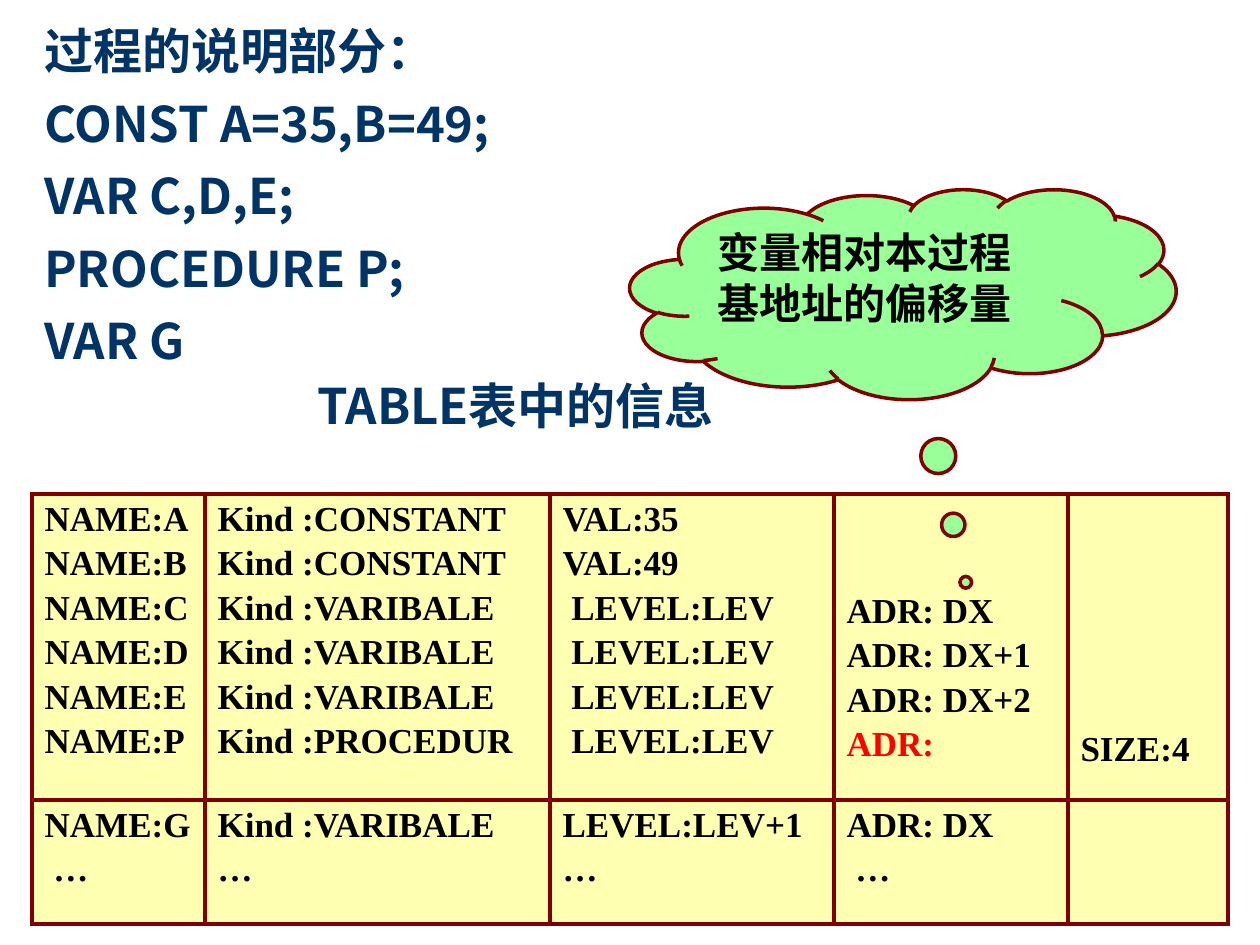
from lxml import etree
from pptx import Presentation
from pptx import util as u
from pptx.dml.color import RGBColor
from pptx.enum import shapes, text
from pptx.oxml import ns

NAVY = RGBColor(0x00, 0x33, 0x66)
MAROON = RGBColor(0x80, 0x00, 0x00)
YELLOW = RGBColor(0xFF, 0xFF, 0x66)
GREEN = RGBColor(0x99, 0xFF, 0x99)
BLACK = RGBColor(0x00, 0x00, 0x00)
RED = RGBColor(0xFF, 0x00, 0x00)

HEADING_FONT = "Noto Sans CJK SC"
TABLE_FONT = "Times New Roman"
CLOUD_FONT = "Karla"

DECLARATIONS = ["过程的说明部分：", "CONST A=35,B=49;", "VAR C,D,E;", "PROCEDURE P;", "VAR G"]
COLUMN_WIDTHS = [173, 345, 284, 234, 160]
ROW_HEIGHTS = [306, 124]
LINE_PITCH = 46
ENTRIES = [
    [
        ["NAME:" + name for name in "ABCDEP"],
        ["Kind :CONSTANT"] * 2 + ["Kind :VARIBALE"] * 3 + ["Kind :PROCEDUR"],
        ["VAL:35", "VAL:49"] + [" LEVEL:LEV"] * 4,
        ["ADR: DX", "ADR: DX+1", "ADR: DX+2", "ADR:"],
        ["SIZE:4"],
    ],
    [
        ["NAME:G", " …"],
        ["Kind :VARIBALE", "…"],
        ["LEVEL:LEV+1", "…"],
        ["ADR: DX", " …"],
        [],
    ],
]


def px(length):
    return u.Emu(round(length * 914400 / 126))


def write_lines(frame, lines, font, size, color, space=0, spacing=None):
    frame.text = "\n".join(lines)
    for index, para in enumerate(frame.paragraphs):
        para.alignment = text.PP_ALIGN.LEFT
        para.line_spacing = spacing
        if index:
            para.space_before = u.Pt(space)
        for span in para.runs:
            span.font.name = font
            span.font.size = u.Pt(size)
            span.font.bold = True
            span.font.color.rgb = color
            east_asian = etree.SubElement(span.font._element, ns.qn("a:ea"))
            east_asian.set("typeface", font)


def add_heading(page, bounds, lines, anchor, space=0, spacing=None):
    box = page.shapes.add_textbox(*map(px, bounds))
    frame = box.text_frame
    frame.word_wrap = True
    frame.vertical_anchor = anchor
    write_lines(frame, lines, HEADING_FONT, 28, NAVY, space, spacing)


def style_cell(cell):
    cell.fill.solid()
    cell.fill.fore_color.rgb = YELLOW
    properties = cell._tc.get_or_add_tcPr()
    color = properties.find(".//" + ns.qn("a:srgbClr"))
    etree.SubElement(color, ns.qn("a:alpha")).set("val", "50000")
    for index, side in enumerate(["lnL", "lnR", "lnT", "lnB"]):
        border = etree.Element(ns.qn("a:" + side), w=str(u.Pt(2.25)))
        fill = etree.SubElement(border, ns.qn("a:solidFill"))
        etree.SubElement(fill, ns.qn("a:srgbClr")).set("val", str(MAROON))
        properties.insert(index, border)


def add_symbol_table(page, left, top):
    bounds = (left, top, sum(COLUMN_WIDTHS), sum(ROW_HEIGHTS))
    table = page.shapes.add_table(len(ROW_HEIGHTS), len(COLUMN_WIDTHS), *map(px, bounds)).table
    table.first_row = False
    table.horz_banding = False
    for column, width in zip(table.columns, COLUMN_WIDTHS):
        column.width = px(width)
    for row, height, entries in zip(table.rows, ROW_HEIGHTS, ENTRIES):
        row.height = px(height)
        line_count = max(map(len, entries))
        for cell, lines in zip(row.cells, entries):
            style_cell(cell)
            if lines:
                cell.margin_top = px(6 + LINE_PITCH * (line_count - len(lines)))
                write_lines(cell.text_frame, lines, TABLE_FONT, 20, BLACK, space=3.2)
    unresolved_address = table.cell(0, 3).text_frame.paragraphs[-1].runs[0]
    unresolved_address.font.color.rgb = RED


def add_cloud(page, bounds, caption):
    cloud = page.shapes.add_shape(shapes.MSO_SHAPE.CLOUD_CALLOUT, *map(px, bounds))
    cloud.adjustments[0] = 0.115
    cloud.adjustments[1] = 1.373
    cloud.shadow.inherit = False
    cloud.fill.solid()
    cloud.fill.fore_color.rgb = GREEN
    cloud.line.color.rgb = MAROON
    cloud.line.width = u.Pt(2)
    cloud.text_frame.word_wrap = True
    cloud.text_frame.vertical_anchor = text.MSO_ANCHOR.TOP
    write_lines(cloud.text_frame, [caption], CLOUD_FONT, 24, BLACK)


def main():
    deck = Presentation()
    deck.slide_width = px(1260)
    deck.slide_height = px(945)
    page = deck.slides.add_slide(deck.slide_layouts[6])
    add_heading(page, (32, 21, 620, 424), DECLARATIONS, text.MSO_ANCHOR.TOP, 11.2, 0.9)
    add_heading(page, (305, 378, 725, 63), ["TABLE表中的信息"], text.MSO_ANCHOR.BOTTOM)
    add_symbol_table(page, 32, 494)
    add_cloud(page, (630, 189, 546, 210), "变量相对本过程基地址的偏移量")
    deck.save("out.pptx")


if __name__ == "__main__":
    main()
